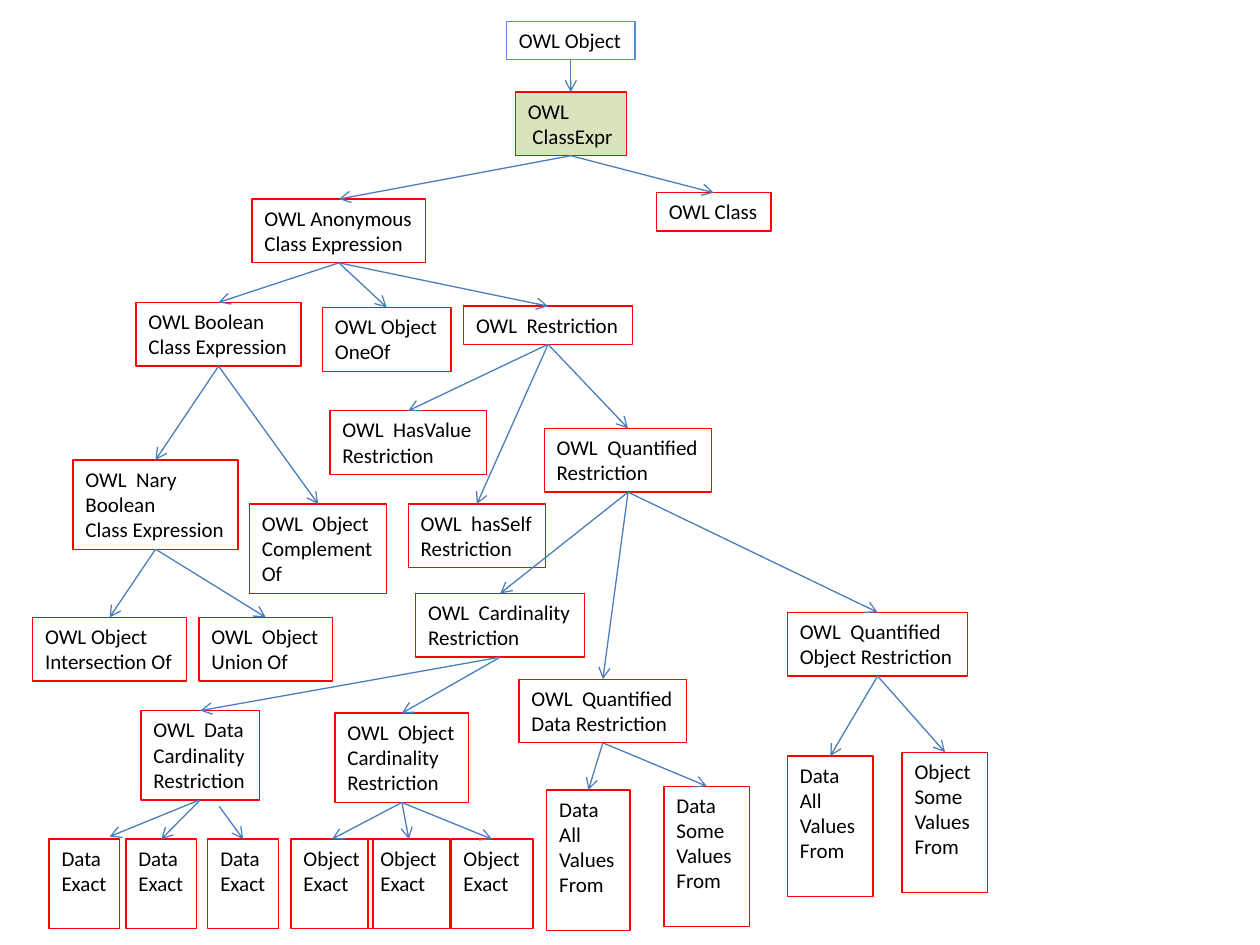
from dataclasses import dataclass

from lxml.etree import SubElement
from pptx import Presentation
from pptx.dml.color import RGBColor
from pptx.enum.shapes import MSO_CONNECTOR
from pptx.enum.text import MSO_ANCHOR, PP_ALIGN
from pptx.oxml.ns import qn
from pptx.slide import Slide
from pptx.util import Inches, Length, Pt

COLORS = {
    "object": "558ED5",
    "class": "FF0000",
    "highlight": "D7E4BD",
    "arrow": "4B7EBC",
    "text": "000000",
}
# Grid of 100 columns by 75 rows on a 10 x 7.5 inch slide
CELL = Inches(0.1)
COLUMNS, ROWS = 100, 75
LINE_ROWS = 2.03
PADDING_ROWS = 1
Point = tuple[float, float]


@dataclass
class Node:
    """A class box; its height follows from its lines of text."""
    left: float
    top: float
    width: float
    label: str
    children: tuple["Node", ...] = ()
    spare_lines: int = 0
    wrap: bool = False
    border: str = "class"
    fill: str | None = None
    arrow: tuple[Point, Point] | None = None  # replaces the default arrow

    @property
    def height(self) -> float:
        lines = self.label.count("\n") + 1 + self.spare_lines
        return PADDING_ROWS + LINE_ROWS * lines

    @property
    def entry(self) -> Point:
        return self.left + self.width / 2, self.top

    @property
    def exit(self) -> Point:
        return self.left + self.width / 2, self.top + self.height


def exact(left: float, width: float, kind: str, arrow=None) -> Node:
    return Node(left, 66.6, width, f"{kind}\nExact", spare_lines=1, arrow=arrow)


def values(left: float, top: float, width: float, kind: str, amount: str) -> Node:
    return Node(left, top, width, f"{kind}\n{amount}\nValues\nFrom",
                spare_lines=1, wrap=True)


# Class hierarchy, from the leaves up
data_cardinality = Node(11.2, 56.4, 9.4, "OWL  Data\nCardinality\nRestriction", (
    exact(3.9, 5.6, "Data", arrow=((15.8, 63.5), (8.7, 66.4))),
    exact(10, 5.6, "Data"),
    exact(16.5, 5.6, "Data", arrow=((17.4, 64), (19.3, 66.6))),
))
object_cardinality = Node(
    26.6, 56.6, 10.6, "OWL  Object\nCardinality\nRestriction",
    tuple(exact(left, 6.5, "Object") for left in (23.1, 29.2, 35.8)))

quantified = Node(43.2, 34, 13.3, "OWL  Quantified\nRestriction", (
    Node(33, 47.1, 13.4, "OWL  Cardinality\nRestriction",
         (data_cardinality, object_cardinality)),
    Node(41.2, 53.9, 13.3, "OWL  Quantified\nData Restriction", (
        values(43.4, 62.7, 6.6, "Data", "All"),
        values(52.7, 62.4, 6.8, "Data", "Some"),
    )),
    Node(62.5, 48.6, 14.3, "OWL  Quantified\nObject Restriction", (
        values(62.5, 60, 6.8, "Data", "All"),
        values(71.6, 59.7, 6.8, "Object", "Some"),
    )),
))
restriction = Node(36.8, 24.3, 13.4, "OWL  Restriction", (
    Node(26.2, 32.6, 12.4, "OWL  HasValue\nRestriction"),
    Node(32.4, 40, 10.9, "OWL  hasSelf\nRestriction"),
    quantified,
))
boolean = Node(10.8, 24, 13.1, "OWL Boolean\nClass Expression", (
    Node(5.8, 36.5, 13.1, "OWL  Nary\nBoolean\nClass Expression", (
        Node(2.6, 49, 12.2, "OWL Object\nIntersection Of"),
        Node(15.8, 49, 10.6, "OWL  Object\nUnion Of"),
    )),
    Node(19.8, 40, 10.9, "OWL  Object\nComplement\nOf"),
))
anonymous = Node(20, 15.8, 13.8, "OWL Anonymous\nClass Expression", (
    boolean,
    Node(25.6, 24.4, 10.2, "OWL Object\nOneOf"),
    restriction,
))
class_expression = Node(
    40.9, 7.3, 8.8, "OWL\n ClassExpr",
    (anonymous, Node(52.1, 15.3, 9.1, "OWL Class")), fill="highlight")
root = Node(40.2, 1.7, 10.2, "OWL Object", (class_expression,), border="object")


def grid(cells: float) -> Length:
    return Length(round(cells * CELL))


def color(name: str) -> RGBColor:
    return RGBColor.from_string(COLORS[name])


def write_text(frame, text: str, *, size: float = 12, font: str = "Calibri",
               ink: str = "text", wrap: bool = False) -> None:
    frame.word_wrap = wrap
    frame.vertical_anchor = MSO_ANCHOR.TOP
    for index, line in enumerate(text.split("\n")):
        paragraph = frame.paragraphs[0] if index == 0 else frame.add_paragraph()
        paragraph.alignment = PP_ALIGN.LEFT
        run = paragraph.add_run()
        run.text = line
        run.font.size = Pt(size)
        run.font.name = font
        run.font.color.rgb = color(ink)


def draw_box(slide: Slide, node: Node) -> None:
    box = slide.shapes.add_textbox(
        *map(grid, (node.left, node.top, node.width, node.height)))
    box.line.color.rgb = color(node.border)
    box.line.width = Pt(0.75)
    if node.fill:
        box.fill.solid()
        box.fill.fore_color.rgb = color(node.fill)
    write_text(box.text_frame, node.label, wrap=node.wrap)


def draw_arrow(slide: Slide, start: Point, end: Point) -> None:
    arrow = slide.shapes.add_connector(
        MSO_CONNECTOR.STRAIGHT, *map(grid, (*start, *end)))
    arrow.line.color.rgb = color("arrow")
    arrow.line.width = Pt(0.75)
    SubElement(arrow.line._get_or_add_ln(), qn("a:tailEnd"), type="arrow")
    SubElement(arrow._element.spPr, qn("a:effectLst"))


def draw_tree(slide: Slide, node: Node) -> None:
    draw_box(slide, node)
    for child in node.children:
        draw_tree(slide, child)
        draw_arrow(slide, *(child.arrow or (node.exit, child.entry)))


def main() -> None:
    deck = Presentation()
    deck.slide_width, deck.slide_height = grid(COLUMNS), grid(ROWS)
    blank_layout = deck.slide_layouts[6]
    draw_tree(deck.slides.add_slide(blank_layout), root)
    deck.save("out.pptx")


if __name__ == "__main__":
    main()
